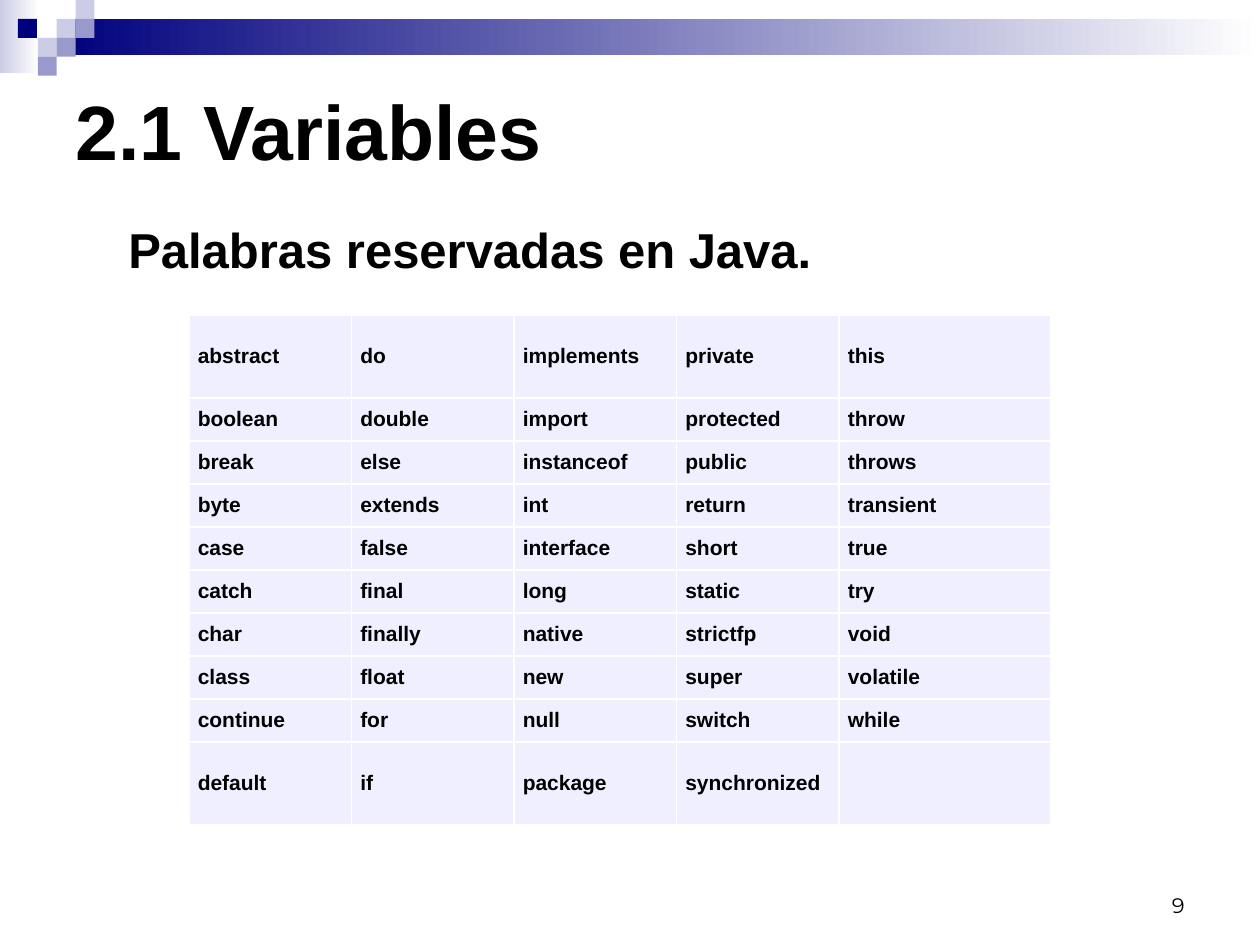
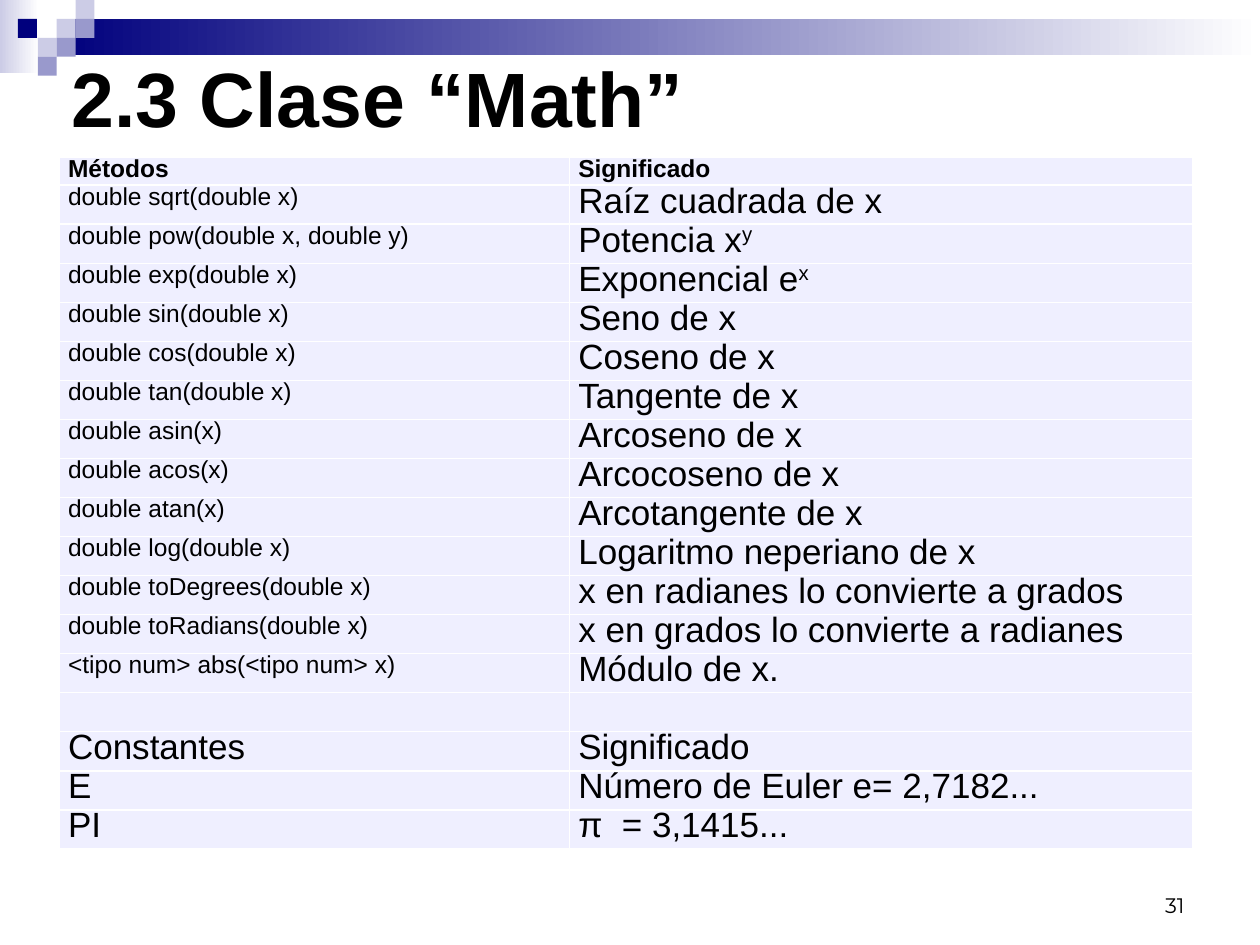
from lxml import etree
from pptx import Presentation
from pptx import util as u
from pptx.dml.color import RGBColor
from pptx.enum import shapes, text
from pptx.oxml.ns import qn

COLORS = {
    "navy": "00007D",
    "violet": "9999CC",
    "lavender": "CCCCE6",
    "cell": "EFEFFF",
    "white": "FFFFFF",
    "ink": "000000",
}
TILE = 0.15

TITLE = {"size": u.Pt(44), "bold": True, "name": "Arial"}
SUBTITLE = {"size": u.Pt(28), "bold": True, "name": "Arial"}
PAGE_NUMBER = {"size": u.Pt(12), "name": "Montserrat"}
KEYWORD = {"size": u.Pt(12), "bold": True, "name": "Arial"}
HEADING = {"size": u.Pt(14), "bold": True, "name": "Arial"}
METHOD = {"size": u.Pt(14), "bold": False, "name": "Arial"}
MEANING = {"size": u.Pt(20), "bold": False, "name": "Arial"}

KEYWORDS = [
    "abstract do implements private this",
    "boolean double import protected throw",
    "break else instanceof public throws",
    "byte extends int return transient",
    "case false interface short true",
    "catch final long static try",
    "char finally native strictfp void",
    "class float new super volatile",
    "continue for null switch while",
    "default if package synchronized",
]

# A caret marks the start of a superscript
METHODS = [
    ("double sqrt(double x)", "Raíz cuadrada de x"),
    ("double pow(double x, double y)", "Potencia x^y"),
    ("double exp(double x)", "Exponencial e^x"),
    ("double sin(double x)", "Seno de x"),
    ("double cos(double x)", "Coseno de x"),
    ("double tan(double x)", "Tangente de x"),
    ("double asin(x)", "Arcoseno de x"),
    ("double acos(x)", "Arcocoseno de x"),
    ("double atan(x)", "Arcotangente de x"),
    ("double log(double x)", "Logaritmo neperiano de x"),
    ("double toDegrees(double x)", "x en radianes lo convierte a grados"),
    ("double toRadians(double x)", "x en grados lo convierte a radianes"),
    ("<tipo num> abs(<tipo num> x)", "Módulo de x."),
]
CONSTANTS = [
    ("Constantes", "Significado"),
    ("E", "Número de Euler e= 2,7182..."),
    ("PI", "π  = 3,1415..."),
]


def rgb(color):
    return RGBColor.from_string(COLORS[color])


def set_values(target, values):
    for attribute, value in values.items():
        setattr(target, attribute, value)


def write(paragraph, words, style):
    """Add the words, with any part after a caret as a superscript."""
    base, _, raised = words.partition("^")
    for part, is_raised in ((base, False), (raised, True)):
        if part:
            run = paragraph.add_run()
            run.text = part
            set_values(run.font, style)
            run.font.color.rgb = rgb("ink")
            if is_raised:
                run._r.get_or_add_rPr().set("baseline", "30000")


def add_text(slide, box, words, style, align=None, **frame_values):
    frame = slide.shapes.add_textbox(*map(u.Inches, box)).text_frame
    set_values(frame, {"word_wrap": True, **frame_values})
    frame.paragraphs[0].alignment = align
    write(frame.paragraphs[0], words, style)


def add_block(slide, box, color, fade=False):
    block = slide.shapes.add_shape(shapes.MSO_SHAPE.RECTANGLE, *map(u.Inches, box))
    block.shadow.inherit = False
    block.line.fill.background()
    if fade:
        block.fill.gradient()
        block.fill.gradient_angle = 0
        for stop, shade, position in zip(block.fill.gradient_stops, (color, "white"), (0, 1)):
            stop.color.rgb = rgb(shade)
            stop.position = position
    else:
        block.fill.solid()
        block.fill.fore_color.rgb = rgb(color)


def add_borders(cell):
    properties = cell._tc.get_or_add_tcPr()
    for side in ("a:lnL", "a:lnR", "a:lnT", "a:lnB"):
        line = etree.SubElement(properties, qn(side), w=str(u.Pt(1)))
        fill = etree.SubElement(line, qn("a:solidFill"))
        etree.SubElement(fill, qn("a:srgbClr"), val=COLORS["white"])


def add_grid(slide, left, top, widths, heights, rows, style_of, anchor, spacing=None):
    """Add a table; style_of(row, column) gives the font values of a cell."""
    size = (left, top, sum(widths), sum(heights))
    table = slide.shapes.add_table(len(heights), len(widths), *map(u.Inches, size)).table
    set_values(table, {"first_row": False, "horz_banding": False})
    for column, width in zip(table.columns, widths):
        column.width = u.Inches(width)
    for r, height in enumerate(heights):
        table.rows[r].height = u.Inches(height)
        for c in range(len(widths)):
            cell = table.cell(r, c)
            set_values(cell, {
                "margin_left": u.Inches(0.07), "margin_right": u.Inches(0.07),
                "margin_top": 0, "margin_bottom": 0, "vertical_anchor": anchor,
            })
            add_borders(cell)
            cell.fill.solid()
            cell.fill.fore_color.rgb = rgb("cell")
            paragraph = cell.text_frame.paragraphs[0]
            paragraph.line_spacing = spacing
            if c < len(rows[r]):
                write(paragraph, rows[r][c], style_of(r, c))


def add_base(deck, title, title_at, number, title_align=None):
    """Start a slide with the header band, its tiles, the title and the number."""
    slide = deck.slides.add_slide(deck.slide_layouts[6])
    add_block(slide, (0, 0, 0.31, 0.58), "lavender", fade=True)
    add_block(slide, (0.45, TILE, 9.55, 0.29), "navy", fade=True)
    tiles = [
        (3, 1, "lavender"), (4, 0, "lavender"), (4, 1, "violet"), (2, 2, "lavender"),
        (0.95, 1, "navy"), (3, 2, "violet"), (2, 3, "violet"),
    ]
    for column, row, color in tiles:
        add_block(slide, (column * TILE, row * TILE, TILE, TILE), color)
    add_text(slide, (7.17, 6.83, 2.33, 0.5), number, PAGE_NUMBER,
             text.PP_ALIGN.RIGHT, vertical_anchor=text.MSO_ANCHOR.BOTTOM)
    add_text(slide, (*title_at, 9, 1.5), title, TITLE, title_align,
             vertical_anchor=text.MSO_ANCHOR.MIDDLE)
    return slide


def add_keywords_slide(deck):
    slide = add_base(deck, "2.1 Variables", (0.5, 0.28), "9")
    add_text(slide, (0.92, 1.69, 5.69, 0.57), "Palabras reservadas en Java.", SUBTITLE,
             word_wrap=False, auto_size=text.MSO_AUTO_SIZE.SHAPE_TO_FIT_TEXT)
    rows = [line.split() for line in KEYWORDS]
    outer, inner_count = 0.66, len(rows) - 2
    inner = (4.05 - 2 * outer) / inner_count
    heights = [outer] + [inner] * inner_count + [outer]
    add_grid(slide, 1.5, 2.5, [1.29] * 4 + [1.68], heights, rows,
             lambda r, c: KEYWORD, text.MSO_ANCHOR.MIDDLE)


def add_math_slide(deck):
    slide = add_base(deck, "2.3 Clase “Math”", (0.47, 0.02), "31", text.PP_ALIGN.JUSTIFY)
    rows = [("Métodos", "Significado"), *METHODS, (), *CONSTANTS]

    def style_of(r, c):
        if r == 0:
            return HEADING
        return METHOD if c == 0 and r <= len(METHODS) else MEANING

    heights = [0.22] + [0.31] * (len(rows) - 1)
    add_grid(slide, 0.47, 1.25, [4.05, 4.95], heights, rows, style_of,
             text.MSO_ANCHOR.TOP, spacing=0.9)


def main():
    deck = Presentation()
    deck.slide_width, deck.slide_height = u.Inches(10), u.Inches(7.5)
    add_keywords_slide(deck)
    add_math_slide(deck)
    deck.save("out.pptx")


main()
